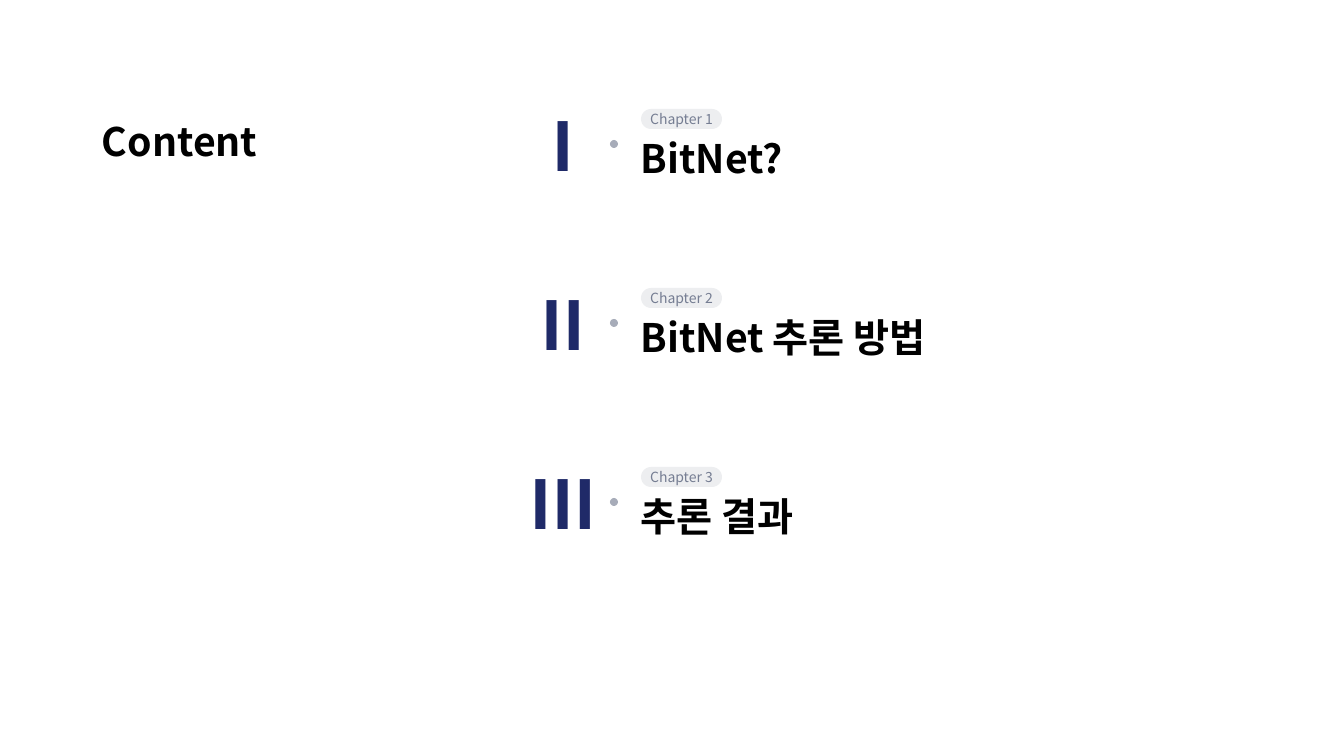
from dataclasses import dataclass

from lxml import etree
from pptx import Presentation
from pptx.dml.color import RGBColor
from pptx.enum.shapes import MSO_SHAPE
from pptx.enum.text import MSO_ANCHOR, MSO_AUTO_SIZE, PP_ALIGN
from pptx.oxml.ns import qn
from pptx.util import Pt

LEFT, CENTER = PP_ALIGN.LEFT, PP_ALIGN.CENTER
MIDDLE = MSO_ANCHOR.MIDDLE
NO_AUTOFIT = MSO_AUTO_SIZE.NONE
PILL, DOT = MSO_SHAPE.ROUNDED_RECTANGLE, MSO_SHAPE.OVAL

SLIDE_W, SLIDE_H = 1344, 756
EMU_PER_PX = 12192000 / SLIDE_W
CHAPTER_PITCH = 179
CHAPTERS = [("Ⅰ", "BitNet?"), ("Ⅱ", "BitNet 추론 방법"), ("Ⅲ", "추론 결과")]


@dataclass(frozen=True)
class Theme:
    font: str = "Noto Sans CJK KR"
    heading: str = "000000"
    numeral: str = "1F2A68"
    label: str = "757D92"
    label_fill: str = "EDEEF0"
    dot: str = "A7ACB9"
    heading_size: int = 28
    numeral_size: int = 48
    label_size: int = 10


THEME = Theme()


def px(*lengths):
    """Turn pixel lengths into a list of EMU."""
    return [round(length * EMU_PER_PX) for length in lengths]


def write(shape, text, size, color, bold=True, align=LEFT):
    frame = shape.text_frame
    frame.auto_size = NO_AUTOFIT
    frame.word_wrap = True
    frame.vertical_anchor = MIDDLE
    frame.margin_left = frame.margin_right = 0
    frame.margin_top = frame.margin_bottom = 0
    paragraph = frame.paragraphs[0]
    paragraph.alignment = align
    run = paragraph.add_run()
    run.text = text
    font = run.font
    font.size = Pt(size)
    font.bold = bold
    font.color.rgb = RGBColor.from_string(color)
    font.name = THEME.font
    east_asian = etree.SubElement(run._r.get_or_add_rPr(), qn("a:ea"))
    east_asian.set("typeface", THEME.font)


def add_title(slide, text):
    title = slide.shapes.title
    title.left, title.top, title.width, title.height = px(102, 117, 406, 47)
    write(title, text, THEME.heading_size, THEME.heading)


def add_filled(shapes, kind, box, color):
    shape = shapes.add_shape(kind, *px(*box))
    shape.shadow.inherit = False
    shape.fill.solid()
    shape.fill.fore_color.rgb = RGBColor.from_string(color)
    shape.line.fill.background()
    return shape


def add_chapter(slide, number, numeral, name):
    top = 104 + (number - 1) * CHAPTER_PITCH
    numeral_box = slide.shapes.add_textbox(*px(519, top, 89, 82))
    write(numeral_box, numeral, THEME.numeral_size, THEME.numeral, align=CENTER)

    entry = slide.shapes.add_group_shape().shapes
    heading = entry.add_textbox(*px(641, top + 30, 406, 47))
    write(heading, name, THEME.heading_size, THEME.heading)
    label = add_filled(entry, PILL, (641, top + 5, 81, 20), THEME.label_fill)
    label.adjustments[0] = 0.5
    write(label, f"Chapter {number}", THEME.label_size, THEME.label,
          bold=False, align=CENTER)

    add_filled(slide.shapes, DOT, (610, top + 36, 8, 8), THEME.dot)


def main():
    deck = Presentation()
    deck.slide_width, deck.slide_height = px(SLIDE_W, SLIDE_H)
    slide = deck.slides.add_slide(deck.slide_layouts[5])
    add_title(slide, "Content")
    for number, (numeral, name) in enumerate(CHAPTERS, start=1):
        add_chapter(slide, number, numeral, name)
    deck.save("out.pptx")


if __name__ == "__main__":
    main()
